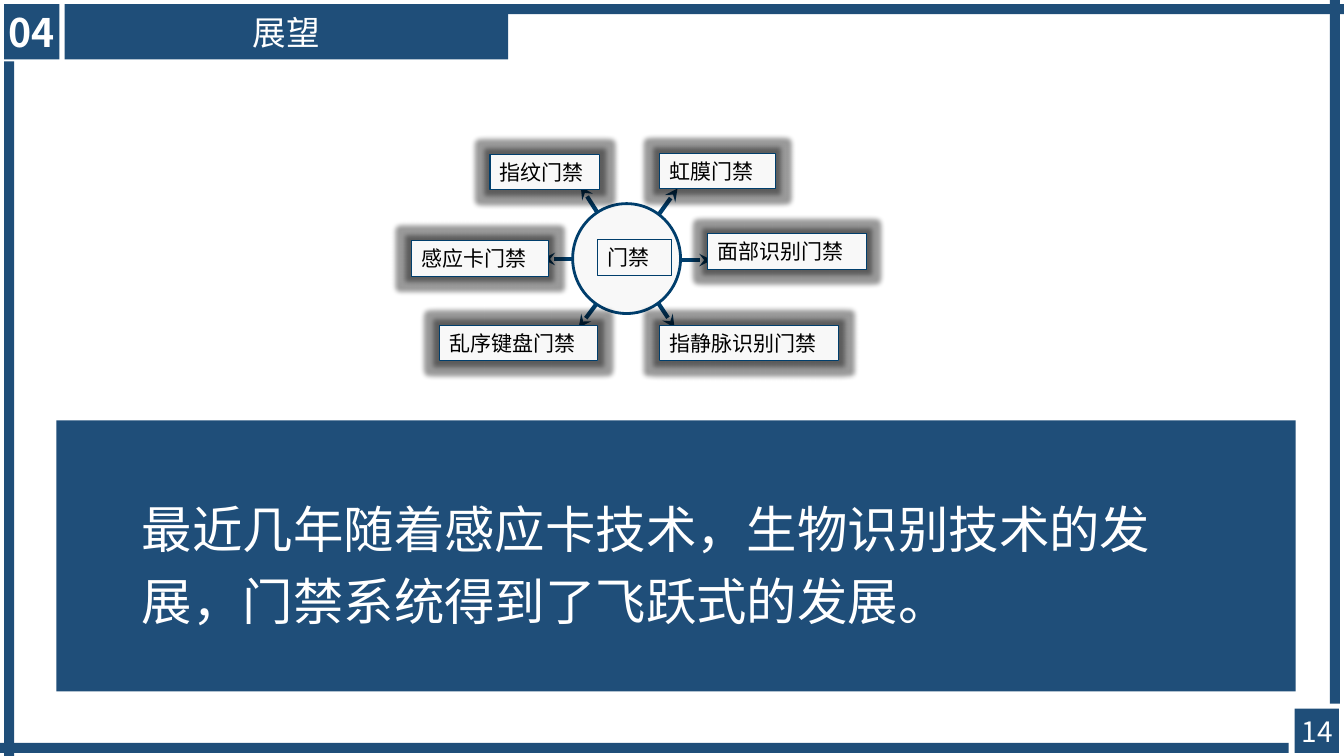
"""Build the access-control outlook slide: a hub diagram above a summary panel."""
from lxml import etree
from pptx import Presentation
from pptx.dml.color import RGBColor
from pptx.enum.shapes import MSO_CONNECTOR, MSO_SHAPE
from pptx.enum.text import MSO_ANCHOR, PP_ALIGN
from pptx.oxml.ns import qn
from pptx.util import Inches, Pt

RECTANGLE, OVAL = MSO_SHAPE.RECTANGLE, MSO_SHAPE.OVAL
STRAIGHT = MSO_CONNECTOR.STRAIGHT
LEFT, CENTER = PP_ALIGN.LEFT, PP_ALIGN.CENTER
TOP, MIDDLE = MSO_ANCHOR.TOP, MSO_ANCHOR.MIDDLE

FONT = "Noto Sans CJK SC"
NAVY, INK, PALE, BLACK, WHITE = "1F4E79", "003E6C", "F8F8F8", "000000", "FFFFFF"
WIDTH, HEIGHT = 13.33, 7.5
BAR = 0.1
LABEL_HEIGHT = 0.35

TITLE, SECTION, PAGE = "展望", "04", "14"
SUMMARY = "最近几年随着感应卡技术，生物识别技术的发展，门禁系统得到了飞跃式的发展。"
HUB = ("门禁", 5.93, 2.38, 0.73)
METHODS = [
    ("感应卡门禁", 4.08, 2.39, 1.36),
    ("乱序键盘门禁", 4.36, 3.23, 1.57),
    ("面部识别门禁", 7.02, 2.32, 1.57),
    ("指静脉识别门禁", 6.54, 3.23, 1.78),
    ("虹膜门禁", 6.54, 1.52, 1.15),
    ("指纹门禁", 4.86, 1.53, 1.09),
]
ARROWS = [
    (6.54, 2.12, 6.72, 1.87),
    (6.76, 2.58, 7.06, 2.58),
    (5.92, 2.10, 5.76, 1.85),
    (5.67, 2.57, 5.38, 2.57),
    (5.92, 3.01, 5.74, 3.25),
    (6.53, 3.01, 6.69, 3.25),
]
CIRCLE = (5.68, 2.02, 1.07, 1.09)
PANEL = (0.56, 4.17, 12.29, 2.69)
SUMMARY_BOX = (1.31, 4.77, 10.38, 0.97)
SECTION_BOX = (0.04, 0.04, 0.55, 0.55)
TITLE_BOX = (0.64, 0.04, 4.4, 0.55)
PAGE_TILE = (12.84, 7.03, 0.44, 0.44)
PAGE_BOX = (12.8, 7.04, 0.53, 0.44)
FRAME = [
    (0.77, 0.04, WIDTH - 0.77, BAR),
    (0, 7.37, 12.78, BAR),
    (13.19, 0, BAR, 6.98),
    (0.04, 0.61, BAR, HEIGHT - 0.61),
]


def color(value):
    return RGBColor.from_string(value)


def inches(values):
    return [Inches(value) for value in values]


def write(shape, text, size, ink=WHITE, align=CENTER, anchor=MIDDLE, bold=False,
          side=0.1, spacing=1.0):
    frame = shape.text_frame
    frame.word_wrap = True
    frame.vertical_anchor = anchor
    frame.margin_left = frame.margin_right = Inches(side)
    frame.margin_top = frame.margin_bottom = Inches(0.05)
    paragraph = frame.paragraphs[0]
    paragraph.alignment, paragraph.line_spacing = align, spacing
    run = paragraph.add_run()
    run.text = text
    font = paragraph.font
    font.name, font.size, font.bold = FONT, Pt(size), bold
    font.color.rgb = color(ink)
    run_properties = run.font
    run_properties.name, run_properties.size, run_properties.bold = FONT, Pt(size), bold
    run_properties.color.rgb = color(ink)
    latin = run._r.rPr.find(qn("a:latin"))
    east_asian = etree.Element(qn("a:ea"), typeface=FONT)
    latin.addnext(east_asian)


def add_block(slide, box, fill=NAVY, line=None, kind=RECTANGLE):
    shape = slide.shapes.add_shape(kind, *inches(box))
    shape.shadow.inherit = False
    shape.fill.solid()
    shape.fill.fore_color.rgb = color(fill)
    if line:
        shape.line.color.rgb = color(INK)
        shape.line.width = Pt(line)
    else:
        shape.line.fill.background()
    return shape


def add_label(slide, text, left, top, width):
    shape = add_block(slide, (left, top, width, LABEL_HEIGHT), PALE, 0.75)
    write(shape, text, 15, BLACK, LEFT)
    return shape


def add_glow(shape):
    effects = shape._element.spPr.find(qn("a:effectLst"))
    glow = etree.SubElement(effects, qn("a:glow"), rad=str(Inches(0.1)))
    tint = etree.SubElement(glow, qn("a:srgbClr"), val=BLACK)
    etree.SubElement(tint, qn("a:alpha"), val="40000")


def add_arrow(slide, ends):
    arrow = slide.shapes.add_connector(STRAIGHT, *inches(ends))
    arrow.line.color.rgb = color(INK)
    arrow.line.width = Pt(3)
    etree.SubElement(arrow.line._get_or_add_ln(), qn("a:tailEnd"), type="stealth")
    etree.SubElement(arrow._element.spPr, qn("a:effectLst"))


def main():
    presentation = Presentation()
    presentation.slide_width, presentation.slide_height = inches((WIDTH, HEIGHT))
    slide = presentation.slides.add_slide(presentation.slide_layouts[5])

    title = slide.shapes.title
    title.left, title.top, title.width, title.height = inches(TITLE_BOX)
    title.fill.solid()
    title.fill.fore_color.rgb = color(NAVY)
    write(title, TITLE, 24)

    for box in [PANEL, PAGE_TILE, *FRAME]:
        add_block(slide, box)
    write(add_block(slide, SECTION_BOX), SECTION, 28, bold=True, side=0)
    summary = slide.shapes.add_textbox(*inches(SUMMARY_BOX))
    write(summary, SUMMARY, 36, align=LEFT, anchor=TOP, spacing=1.2)
    page = slide.shapes.add_textbox(*inches(PAGE_BOX))
    write(page, PAGE, 20, anchor=TOP, side=0)

    for ends in ARROWS:
        add_arrow(slide, ends)
    add_block(slide, CIRCLE, PALE, 2, OVAL)
    add_label(slide, *HUB)
    for method in METHODS:
        add_glow(add_label(slide, *method))

    presentation.save("out.pptx")


if __name__ == "__main__":
    main()
